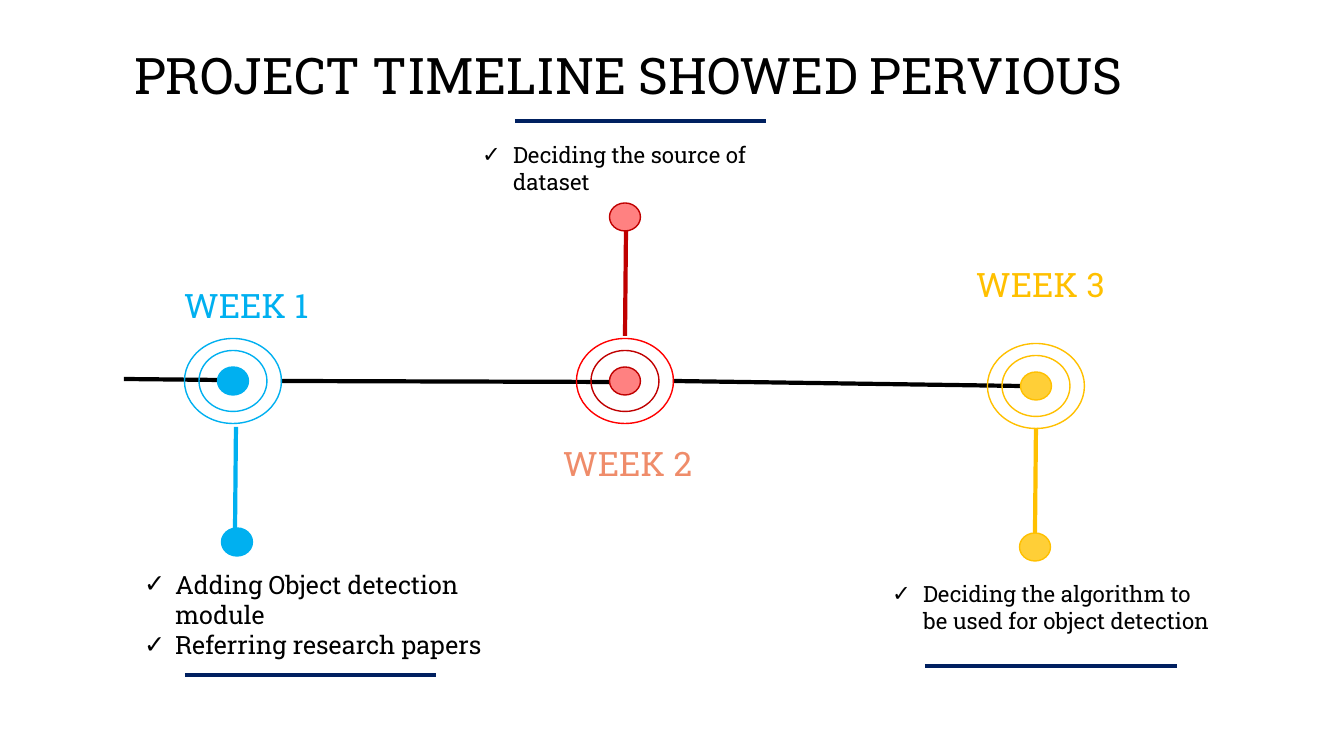
from pptx import Presentation
from pptx.util import Emu, Pt
from pptx.dml.color import RGBColor
from pptx.enum.shapes import MSO_CONNECTOR as Connector, MSO_SHAPE as Shape
from pptx.enum.text import MSO_ANCHOR as Anchor, MSO_AUTO_SIZE as AutoSize, PP_ALIGN as Align
from pptx.oxml.ns import qn
from lxml.etree import SubElement

COLORS = {
    "black": "000000", "navy": "002060", "blue": "00B0F0",
    "red": "FF0000", "crimson": "C00000", "pink": "FF8181",
    "salmon": "EF8C6A", "amber": "FFC000", "gold": "FFCF37",
}
FONT = "Roboto Slab"
SCALE = 914400 / 100.8


def px(*lengths):
    return [Emu(round(length * SCALE)) for length in lengths]


def write(paragraph, wording, size, color):
    run = paragraph.add_run()
    run.text = wording
    run.font.name = FONT
    run.font.size = Pt(size)
    run.font.bold = False
    run.font.color.rgb = RGBColor.from_string(COLORS[color])


prs = Presentation()
prs.slide_width, prs.slide_height = px(1344, 756)
slide = prs.slides.add_slide(prs.slide_layouts.get_by_name("Comparison"))

heading = slide.shapes.title
heading.left, heading.top, heading.width, heading.height = px(124, -3, 1092, 163)
heading.text_frame.auto_size = AutoSize.NONE
heading.text_frame.vertical_anchor = Anchor.MIDDLE
heading_line = heading.text_frame.paragraphs[0]
heading_line.alignment = Align.LEFT
heading_line.line_spacing = 0.9
write(heading_line, "PROJECT TIMELINE SHOWED PERVIOUS", 36, "black")

axis = [(124, 379, 220, 380), (281, 381, 610, 382), (673, 381, 1020, 386)]
stems = [(236, 427, 235, 533), (626, 231, 625, 336), (1036, 428, 1035, 533)]
underlines = [(185, 675, 436, 675), (515, 121, 766, 121), (925, 666, 1177, 666)]
strokes = [(ends, "black") for ends in axis]
strokes += zip(stems, ["blue", "crimson", "amber"])
strokes += [(ends, "navy") for ends in underlines]
for ends, color in strokes:
    stroke = slide.shapes.add_connector(Connector.STRAIGHT, *px(*ends))
    stroke.line.width = Pt(3)
    stroke.line.color.rgb = RGBColor.from_string(COLORS[color])
    SubElement(stroke._element.spPr, qn("a:effectLst"))

weeks = [
    ("WEEK 1", (174, 280), "blue", (233, 381), (237, 542), "blue", "blue", "blue"),
    ("WEEK 2", (553, 438), "salmon", (625, 381), (625, 217), "pink", "crimson", "red"),
    ("WEEK 3", (966, 259), "amber", (1036, 386), (1035, 547), "gold", "amber", "amber"),
]
for name, corner, name_color, hub, pin, fill, edge, halo in weeks:
    circles = [
        (hub, 31, 28, fill, edge),
        (hub, 68, 61, None, edge),
        (hub, 97, 85, None, halo),
        (pin, 31, 28, fill, edge),
    ]
    for (x, y), width, height, inside, outline in circles:
        circle = slide.shapes.add_shape(
            Shape.OVAL, *px(x - width / 2, y - height / 2, width, height))
        circle.shadow.inherit = False
        circle.line.width = Pt(1)
        circle.line.color.rgb = RGBColor.from_string(COLORS[outline])
        if inside:
            circle.fill.solid()
            circle.fill.fore_color.rgb = RGBColor.from_string(COLORS[inside])
        else:
            circle.fill.background()
    label = slide.shapes.add_textbox(*px(*corner, 170, 50)).text_frame
    label.word_wrap = True
    write(label.paragraphs[0], name, 24, name_color)

tasks = [
    ((134, 564, 365, 102), 18, ["Adding Object detection module", "Referring research papers"]),
    ((472, 136, 339, 64), 16, ["Deciding the source of dataset"]),
    ((882, 575, 339, 64), 16, ["Deciding the algorithm to be used for object detection"]),
]
*task_lists, spare = list(slide.placeholders)[1:5]
for task_list, (box, size, items) in zip(task_lists, tasks):
    task_list.left, task_list.top, task_list.width, task_list.height = px(*box)
    frame = task_list.text_frame
    frame.auto_size = AutoSize.NONE
    frame.vertical_anchor = Anchor.TOP
    for number, item in enumerate(items):
        paragraph = frame.add_paragraph() if number else frame.paragraphs[0]
        paragraph.space_before = Pt(0)
        indent = px(31)[0]
        properties = paragraph._p.get_or_add_pPr()
        properties.set("marL", str(indent))
        properties.set("indent", str(-indent))
        SubElement(properties, qn("a:buChar"), char="✓")
        write(paragraph, item, size, "black")
spare._element.getparent().remove(spare._element)

prs.save("out.pptx")
